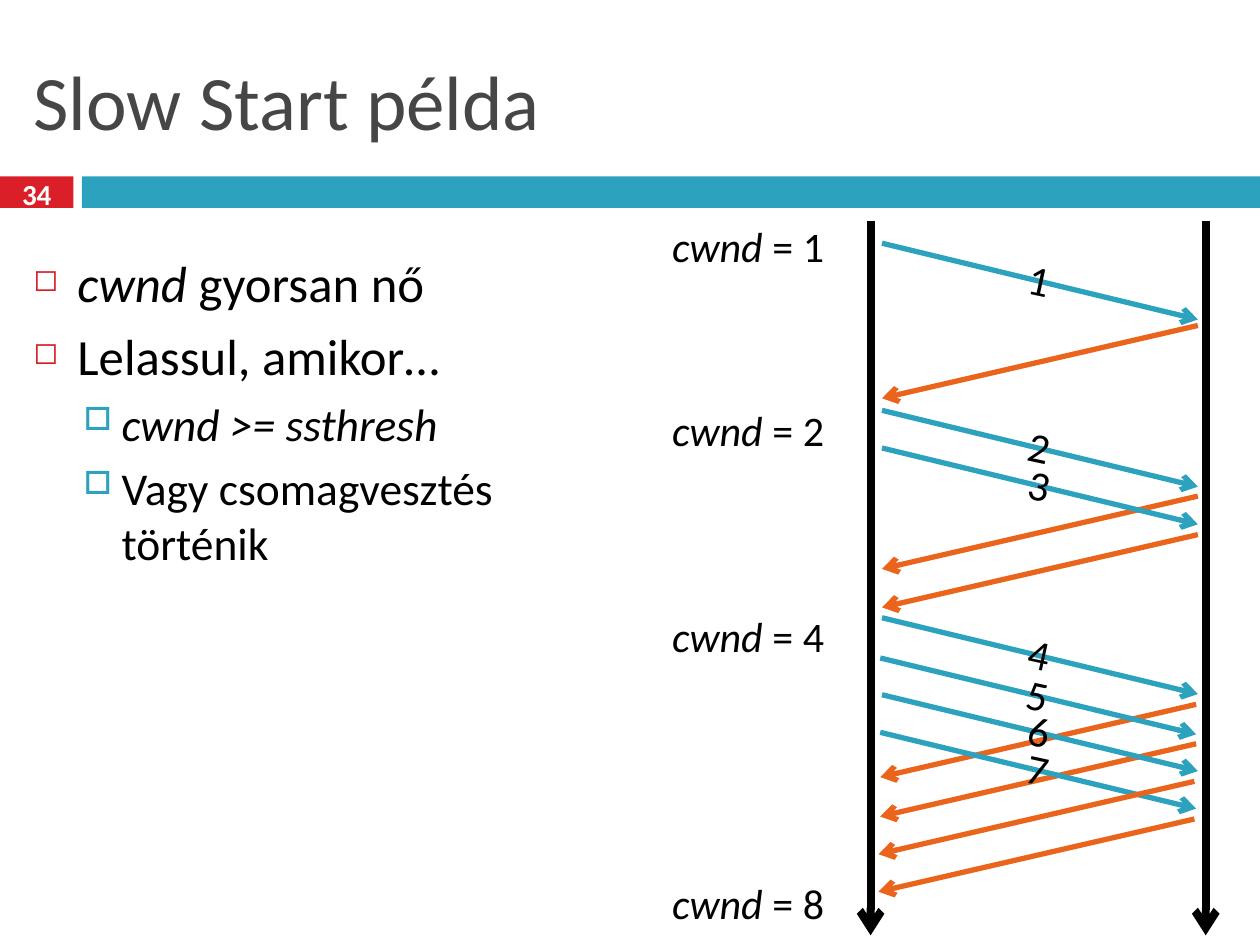
from lxml.etree import SubElement
from pptx import Presentation
from pptx.dml.color import RGBColor
from pptx.enum.shapes import MSO_CONNECTOR, MSO_SHAPE
from pptx.enum.text import MSO_ANCHOR, MSO_AUTO_SIZE, PP_ALIGN
from pptx.oxml.ns import qn
from pptx.util import Pt

COLORS = {"red": "DA1F28", "teal": "2DA2BF", "orange": "EB641B",
          "gray": "464646", "black": "000000", "white": "FFFFFF"}


class SlideBuilder:
    """Holds the style and the current slide."""

    font_name = "Calibri"

    def __init__(self, page):
        self.page = page

    def color(self, name):
        return RGBColor.from_string(COLORS[name])

    def bar(self, left, top, width, height, fill):
        box = self.page.shapes.add_shape(
            MSO_SHAPE.RECTANGLE, Pt(left), Pt(top), Pt(width), Pt(height))
        box.shadow.inherit = False
        box.fill.solid()
        box.fill.fore_color.rgb = self.color(fill)
        box.line.fill.background()

    def arrow(self, start, end, color, width=3):
        line = self.page.shapes.add_connector(
            MSO_CONNECTOR.STRAIGHT, *(Pt(value) for value in start + end))
        line.line.color.rgb = self.color(color)
        line.line.width = Pt(width)
        SubElement(line.line._get_or_add_ln(), qn("a:tailEnd"), type="arrow")
        SubElement(line._element.spPr, qn("a:effectLst"))

    def spans(self, para, runs, size, color="black", bold=False):
        for text, italic in runs:
            span = para.add_run()
            span.text = text
            formats = {"name": self.font_name, "size": Pt(size),
                       "bold": bold, "italic": italic}
            for key, value in formats.items():
                setattr(span.font, key, value)
            span.font.color.rgb = self.color(color)

    def frame(self, box, formats):
        for key, value in {"word_wrap": True, **formats}.items():
            setattr(box.text_frame, key, value)
        return box.text_frame

    def text(self, place, runs, size, color="black", bold=False,
             align=PP_ALIGN.LEFT, rotation=0, **formats):
        box = self.page.shapes.add_textbox(*(Pt(value) for value in place))
        box.rotation = rotation
        para = self.frame(box, formats).paragraphs[0]
        para.alignment = align
        self.spans(para, runs, size, color, bold)

    def bullets(self, place, items, levels):
        box = self.page.shapes.add_textbox(*(Pt(value) for value in place))
        frame = self.frame(box, {})
        for index, (level, runs) in enumerate(items):
            para = frame.add_paragraph() if index else frame.paragraphs[0]
            style = levels[level]
            para.level = level
            para.space_before = Pt(style["before"])
            props = para._p.get_or_add_pPr()
            props.set("marL", str(Pt(style["margin"])))
            props.set("indent", str(Pt(style["indent"])))
            tint = SubElement(props, qn("a:buClr"))
            SubElement(tint, qn("a:srgbClr"), val=COLORS[style["color"]])
            SubElement(props, qn("a:buSzPct"), val=str(style["percent"] * 1000))
            SubElement(props, qn("a:buChar"), char=style["char"])
            self.spans(para, runs, style["size"])


deck = Presentation()
deck.slide_width, deck.slide_height = Pt(720), Pt(540)
slide = SlideBuilder(deck.slides.add_slide(deck.slide_layouts[6]))

slide.bar(0, 100.8, 42, 18, "red")
slide.bar(46.8, 100.8, 673.2, 18, "teal")
slide.text((12, 18, 696, 78), [("Slow Start példa", False)], 44, "gray",
           vertical_anchor=MSO_ANCHOR.MIDDLE)
slide.text((0, 98.6, 42, 24), [("34", False)], 16.6, "white", bold=True,
           align=PP_ALIGN.CENTER, vertical_anchor=MSO_ANCHOR.MIDDLE)

SPAN = 180.5
PACKET_DROP, ACK_DROP = 43.6, 41.6
packets = [(504, 139), (504, 234.5), (504, 256), (504, 353),
           (503, 376), (504, 397), (503, 418.5)]
acks = [(684.5, 186), (684.5, 283.5), (684.5, 305.5), (683.5, 402.5),
        (683.5, 425), (682.5, 446.5), (682.5, 468)]


def draw_acks(starts):
    """Draw the acknowledgements returning to the sender."""
    for x, y in starts:
        slide.arrow((x, y), (x - SPAN, y + ACK_DROP), "orange")


draw_acks(acks[:5])
for x in (497.5, 689):
    slide.arrow((x, 126), (x, 534.5), "black", 4.5)
for number, (x, y) in enumerate(packets, 1):
    slide.arrow((x, y), (x + SPAN, y + PACKET_DROP), "teal")
    slide.text((x + 50, y + 2.6, 80, 36), [(str(number), False)], 24,
               align=PP_ALIGN.CENTER, rotation=12.3,
               auto_size=MSO_AUTO_SIZE.SHAPE_TO_FIT_TEXT)
draw_acks(acks[5:])

for window, y in {1: 122.5, 2: 227.5, 4: 345.5, 8: 498}.items():
    slide.text((377, y, 112.5, 36), [("cwnd", True), (f" = {window}", False)],
               24, word_wrap=False, auto_size=MSO_AUTO_SIZE.SHAPE_TO_FIT_TEXT)

slide.bullets(
    (12, 140.5, 332.5, 387.5),
    [(0, [("cwnd ", True), ("gyorsan nő", False)]),
     (0, [("Lelassul, amikor…", False)]),
     (1, [("cwnd >= ssthresh", True)]),
     (1, [("Vagy csomagvesztés történik", False)])],
    [{"size": 29, "before": 7, "margin": 25.2, "indent": -25.2,
      "color": "red", "percent": 60, "char": "◻"},
     {"size": 26, "before": 5.5, "margin": 50.4, "indent": -21.6,
      "color": "teal", "percent": 70, "char": "□"}])

deck.save("out.pptx")
